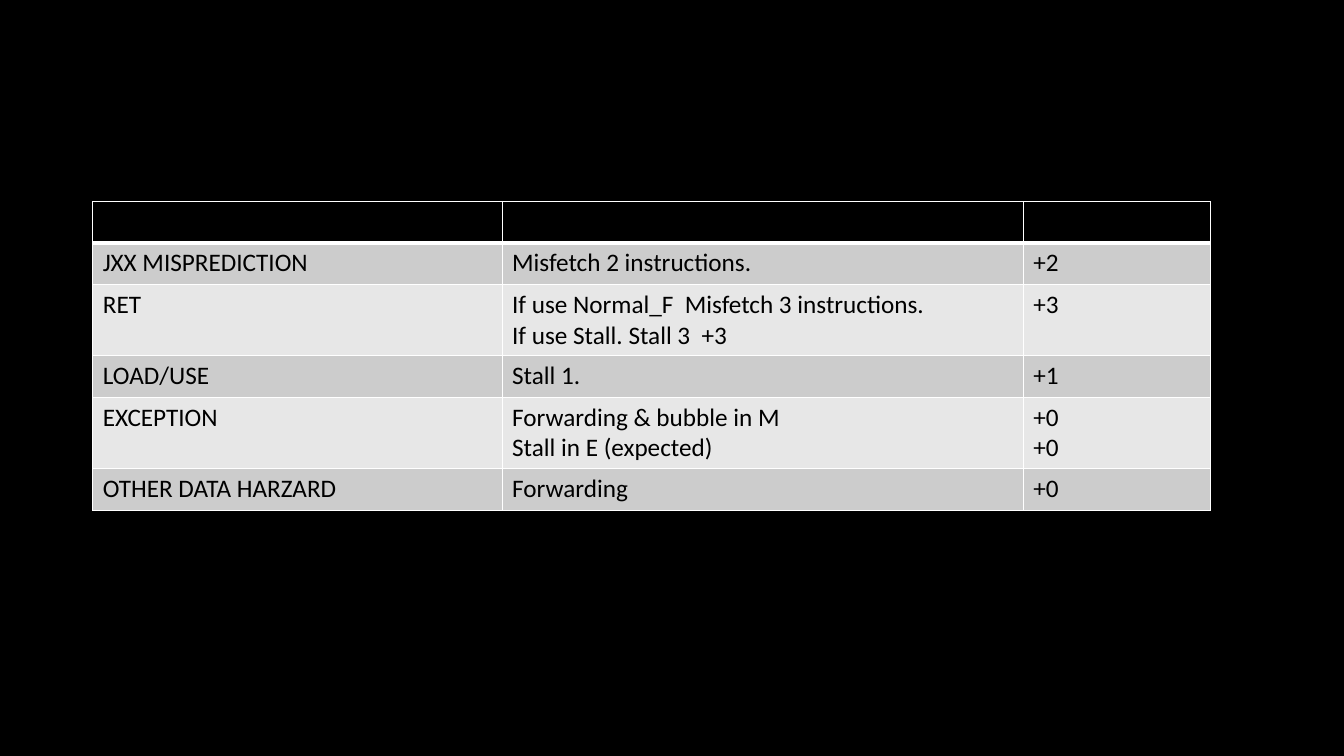
import dataclasses

import pptx
import pptx.dml.color
import pptx.oxml
import pptx.oxml.ns
import pptx.util


@dataclasses.dataclass(frozen=True)
class Theme:
    """Colours, type and line sizes of the slide."""
    background: str = "000000"
    header: str = "000000"
    bands: tuple = ("CCCCCC", "E7E7E7")
    text: str = "000000"
    border: str = "FFFFFF"
    font: str = "Calibri"
    size: float = 18
    thin: float = 1
    thick: float = 3


THEME = Theme()
SLIDE_W, SLIDE_H = 13.33, 7.5
TABLE_BOX = (0.92, 2, 11.09, 3.06)
COLUMNS = (4.06, 5.17, 1.86)
ROW_H, EXTRA_LINE_H = 0.41, 0.3
PENALTIES = (
    ("", "", ""),
    ("JXX MISPREDICTION", "Misfetch 2 instructions.", "+2"),
    ("RET", "If use Normal_F  Misfetch 3 instructions.\nIf use Stall. Stall 3  +3", "+3"),
    ("LOAD/USE", "Stall 1.", "+1"),
    ("EXCEPTION", "Forwarding & bubble in M\nStall in E (expected)", "+0\n+0"),
    ("OTHER DATA HARZARD", "Forwarding", "+0"),
)


def rgb(value):
    """Return the colour object for a hex value."""
    return pptx.dml.color.RGBColor.from_string(value)


def set_borders(cell, top, bottom):
    """Draw the four sides of a cell, with top and bottom widths in points."""
    tcPr = cell._tc.get_or_add_tcPr()
    sides = {"lnL": THEME.thin, "lnR": THEME.thin, "lnT": top, "lnB": bottom}
    for side, width in sides.items():
        tcPr.append(pptx.oxml.parse_xml(
            f'<a:{side} {pptx.oxml.ns.nsdecls("a")} w="{pptx.util.Pt(width)}">'
            f'<a:solidFill><a:srgbClr val="{THEME.border}"/></a:solidFill></a:{side}>'))


def fill_cell(cell, text, row):
    """Write and style one cell according to its row."""
    set_borders(cell, THEME.thick if row == 1 else THEME.thin,
                THEME.thick if row == 0 else THEME.thin)
    cell.fill.solid()
    cell.fill.fore_color.rgb = rgb(THEME.bands[(row - 1) % 2] if row else THEME.header)
    cell.text_frame.text = text
    for p in cell.text_frame.paragraphs:
        p.font.size = pptx.util.Pt(THEME.size)
        for r in p.runs:
            r.font.size = pptx.util.Pt(THEME.size)
            r.font.name = THEME.font
            r.font.bold = False
            r.font.color.rgb = rgb(THEME.text)


def add_penalty_table(s, box):
    """Place the penalty table in the given box."""
    left, top, width, height = box
    table = s.shapes.add_table(
        len(PENALTIES), len(COLUMNS), *map(pptx.util.Inches, box)).table
    for column, share in zip(table.columns, COLUMNS):
        column.width = pptx.util.Inches(width * share / sum(COLUMNS))
    lines = [max(text.count("\n") for text in texts) for texts in PENALTIES]
    heights = [ROW_H + EXTRA_LINE_H * extra for extra in lines]
    for i, texts in enumerate(PENALTIES):
        table.rows[i].height = pptx.util.Inches(height * heights[i] / sum(heights))
        for j, text in enumerate(texts):
            fill_cell(table.cell(i, j), text, i)


def main():
    """Build and save the slide."""
    prs = pptx.Presentation()
    prs.slide_width = pptx.util.Inches(SLIDE_W)
    prs.slide_height = pptx.util.Inches(SLIDE_H)
    s = prs.slides.add_slide(prs.slide_layouts[6])
    s.background.fill.solid()
    s.background.fill.fore_color.rgb = rgb(THEME.background)
    add_penalty_table(s, TABLE_BOX)
    prs.save("out.pptx")


if __name__ == "__main__":
    main()
